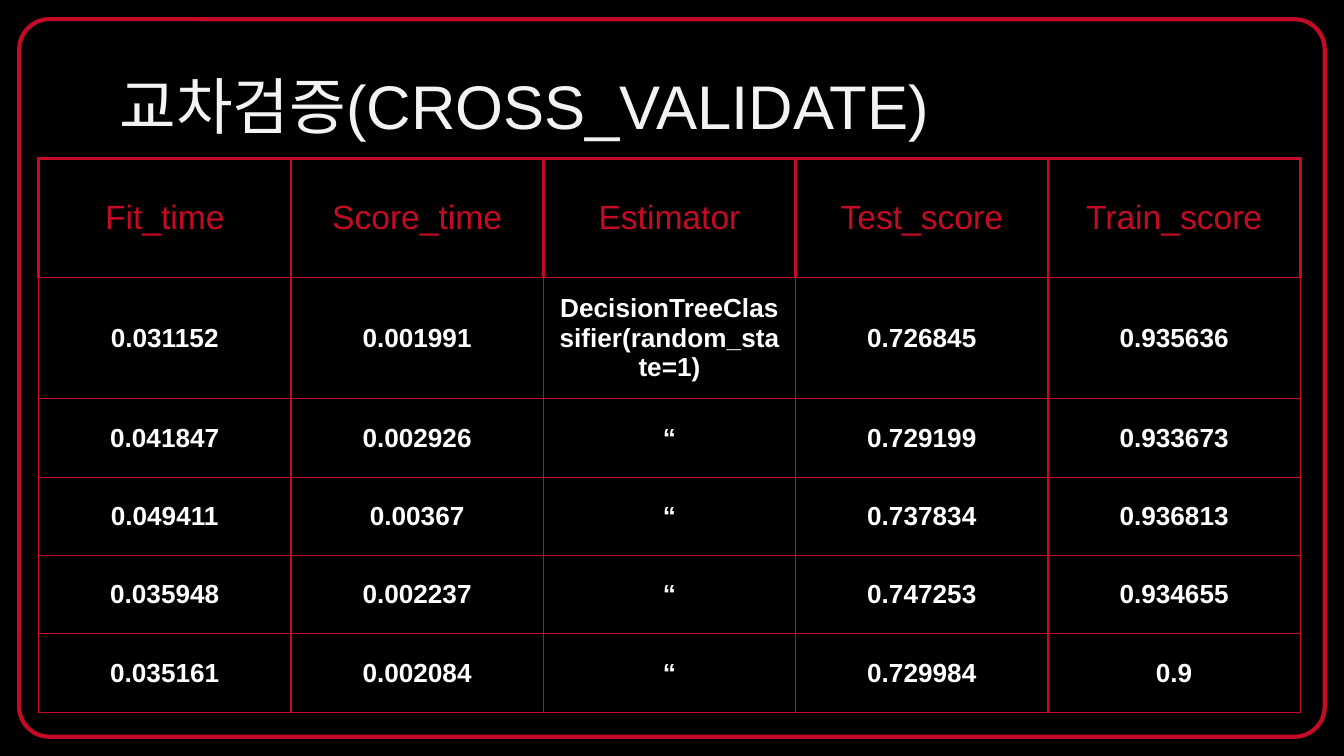
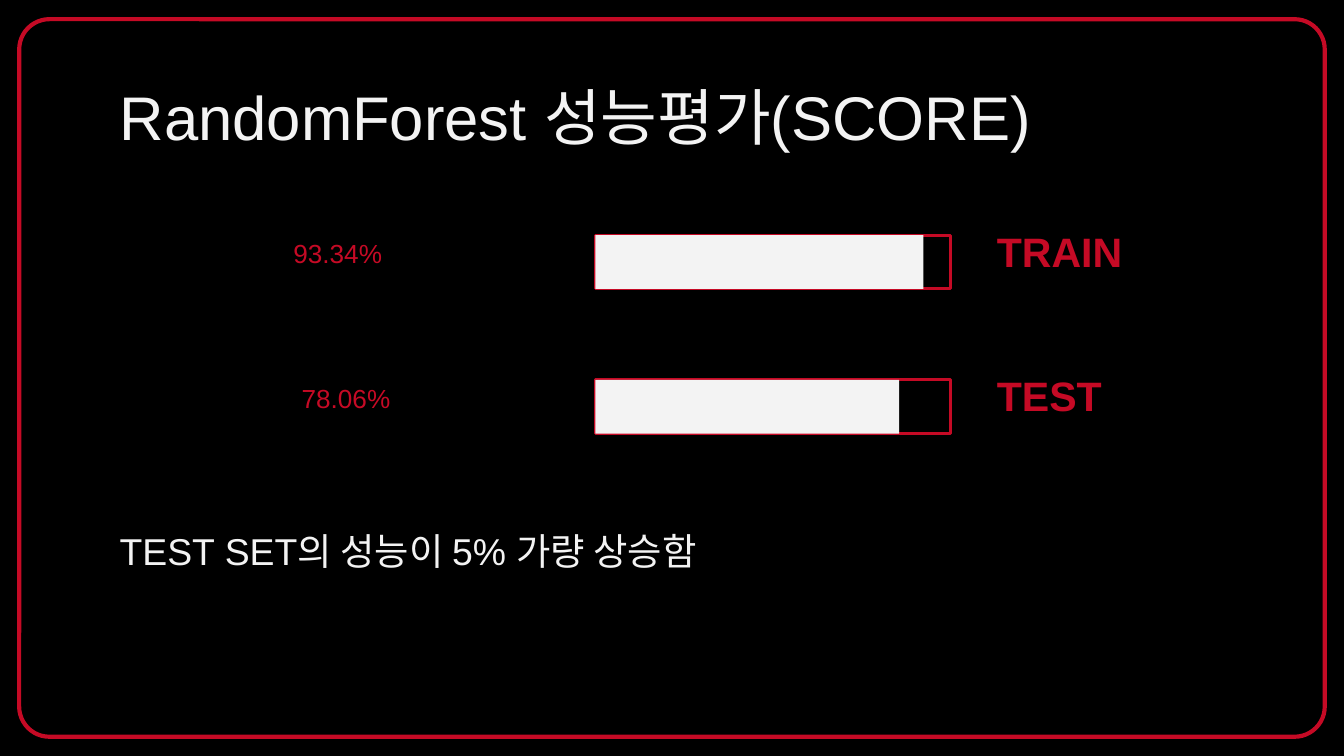
from dataclasses import dataclass

from lxml import etree
from pptx import Presentation
from pptx.dml.color import RGBColor
from pptx.enum import shapes, text
from pptx.oxml.ns import qn
from pptx.util import Pt


@dataclass(frozen=True)
class Theme:
    font: str = "Arial"
    black: str = "000000"
    red: str = "C50A25"
    light: str = "F3F3F3"
    white: str = "FFFFFF"
    title: float = 33
    label: float = 22
    note: float = 20
    header: float = 18
    body: float = 14
    inset: float = 7.2
    thin: float = 0.75
    medium: float = 1.5
    thick: float = 2.25


T = Theme()
WIDTH, HEIGHT = 720, 405

SCORES = [
    ["Fit_time", "Score_time", "Estimator", "Test_score", "Train_score"],
    ["0.031152", "0.001991", "DecisionTreeClassifier(random_state=1)", "0.726845", "0.935636"],
    ["0.041847", "0.002926", "“", "0.729199", "0.933673"],
    ["0.049411", "0.00367", "“", "0.737834", "0.936813"],
    ["0.035948", "0.002237", "“", "0.747253", "0.934655"],
    ["0.035161", "0.002084", "“", "0.729984", "0.9"],
]

BARS = [
    ("TRAIN", "93.34%", 244, 175.7),
    ("TEST", "78.06%", 252.7, 162.7),
]


def write(tf, content, size, color, bold=False, align=text.PP_ALIGN.LEFT):
    tf.text = content
    p = tf.paragraphs[0]
    p.alignment = align
    for r in p.runs:
        r.font.name = T.font
        r.font.size = Pt(size)
        r.font.bold = bold
        r.font.color.rgb = RGBColor.from_string(color)


def add_text(s, box, content, size, color, bold=False, align=text.PP_ALIGN.LEFT,
             anchor=text.MSO_ANCHOR.TOP, inset=T.inset):
    tf = s.shapes.add_textbox(*map(Pt, box)).text_frame
    tf.word_wrap = True
    tf.vertical_anchor = anchor
    tf.margin_left = tf.margin_top = tf.margin_right = tf.margin_bottom = Pt(inset)
    write(tf, content, size, color, bold, align)


def add_box(s, box, fill=None, line=None, weight=T.medium, kind=shapes.MSO_SHAPE.RECTANGLE):
    sp = s.shapes.add_shape(kind, *map(Pt, box))
    sp.shadow.inherit = False
    if fill:
        sp.fill.solid()
        sp.fill.fore_color.rgb = RGBColor.from_string(fill)
    else:
        sp.fill.background()
    if line:
        sp.line.color.rgb = RGBColor.from_string(line)
        sp.line.width = Pt(weight)
    else:
        sp.line.fill.background()
    return sp


def set_borders(cell, weights):
    tc_pr = cell._tc.get_or_add_tcPr()
    for i, (side, weight) in enumerate(zip("LRTB", weights)):
        ln = etree.Element(qn(f"a:ln{side}"), w=str(Pt(weight)))
        fill = etree.SubElement(ln, qn("a:solidFill"))
        etree.SubElement(fill, qn("a:srgbClr"), val=T.red)
        tc_pr.insert(i, ln)


def framed_slide(prs, title, title_top):
    s = prs.slides.add_slide(prs.slide_layouts[6])
    inset = 10.3
    frame = add_box(s, (inset, inset, WIDTH - 2 * inset, HEIGHT - 2 * inset), line=T.red,
                    weight=T.thick, kind=shapes.MSO_SHAPE.ROUNDED_RECTANGLE)
    frame.adjustments[0] = 0.042
    add_text(s, (57, title_top, 607, 45), title, T.title, T.light)
    return s


def score_table(s, x, y, col_width, row_heights):
    cols = len(SCORES[0])
    shape = s.shapes.add_table(len(SCORES), cols, Pt(x), Pt(y),
                               Pt(cols * col_width), Pt(sum(row_heights)))
    table = shape.table
    table.horz_banding = False
    for col in table.columns:
        col.width = Pt(col_width)
    for i, (row, height) in enumerate(zip(SCORES, row_heights)):
        table.rows[i].height = Pt(height)
        header = i == 0
        size, color = (T.header, T.red) if header else (T.body, T.white)
        edge = T.medium if header else T.thin
        for j, value in enumerate(row):
            cell = table.cell(i, j)
            cell.fill.background()
            cell.vertical_anchor = text.MSO_ANCHOR.MIDDLE
            cell.margin_left = cell.margin_right = Pt(T.inset)
            cell.margin_top = cell.margin_bottom = Pt(T.inset)
            write(cell.text_frame, value, size, color, not header, text.PP_ALIGN.CENTER)
            set_borders(cell, (edge, edge, edge, T.thin))


def score_bar(s, x, y, name, percent, percent_width, filled):
    add_text(s, (x, y, percent_width, 32), percent, T.body, T.red,
             align=text.PP_ALIGN.CENTER, inset=3.6)
    add_box(s, (x + 260, y + 2.3, 190, 28.8), line=T.red)
    add_box(s, (x + 260, y + 2.3, filled, 28.8), fill=T.light)
    add_text(s, (x + 468, y + 1.6, 151, 29.5), name, T.label, T.red, bold=True,
             anchor=text.MSO_ANCHOR.BOTTOM)


def cross_validation_slide(prs):
    s = framed_slide(prs, "교차검증(CROSS_VALIDATE)", 29)
    score_table(s, 20.7, 84.8, 135.2, [64, 62] + [42] * 4)


def random_forest_slide(prs):
    s = framed_slide(prs, "RandomForest 성능평가(SCORE)", 35.3)
    for i, bar in enumerate(BARS):
        score_bar(s, 59, 123.7 + i * 77.5, *bar)
    add_text(s, (57, 276, 487, 42), "TEST SET의 성능이 5% 가량 상승함", T.note, T.light)


def main():
    prs = Presentation()
    prs.slide_width, prs.slide_height = Pt(WIDTH), Pt(HEIGHT)
    background = prs.slide_master.background.fill
    background.solid()
    background.fore_color.rgb = RGBColor.from_string(T.black)
    cross_validation_slide(prs)
    random_forest_slide(prs)
    prs.save("out.pptx")


if __name__ == "__main__":
    main()
